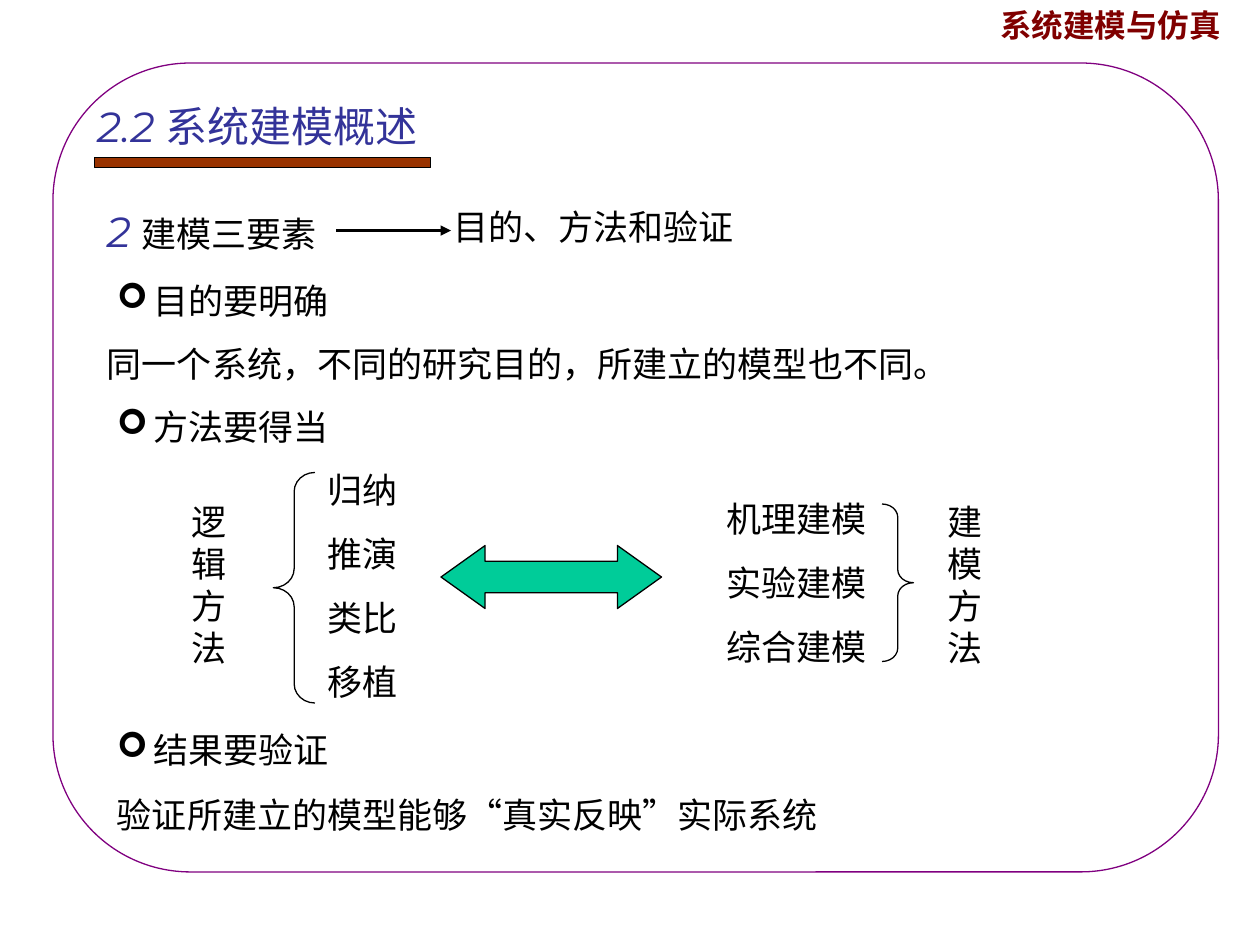
from lxml import etree
from pptx import Presentation
from pptx.dml.color import RGBColor
from pptx.enum.shapes import MSO_CONNECTOR, MSO_SHAPE
from pptx.enum.text import MSO_ANCHOR, MSO_AUTO_SIZE, PP_ALIGN
from pptx.oxml.ns import qn
from pptx.util import Inches, Pt

COLORS = {"frame": "800080", "header": "800000", "heading": "333399",
          "bar": "993300", "arrow": "00CC99", "ink": "000000"}
BODY = {"size": 20, "name": "Times New Roman", "color": "ink"}
NUMBER = {"size": 24, "name": "Montserrat", "color": "heading", "italic": True}
HEADING = {**NUMBER, "italic": False}
HEADER = {"size": 18, "name": "Times New Roman", "color": "header", "bold": True}

TITLE = [("2.2 ", NUMBER), ("系统建模概述", HEADING)]
TITLE_PLACE = (0.67, 0.75, 3.5, 0.5)
SUBTITLE = [("2 ", NUMBER), ("建模三要素", BODY)]
SUBTITLE_PLACE = (0.75, 1.58, 3.42, 0.5)
COURSE = [("系统建模与仿真", HEADER)]
COURSE_PLACE = (7.84, 0, 1.95, 0.4)

# place, lines of text
TEXTS = [
    ((3.5, 1.58, 4.17, 0.44), ["目的、方法和验证"]),
    ((0.75, 2.67, 8.58, 0.44), ["同一个系统，不同的研究目的，所建立的模型也不同。"]),
    ((1.42, 3.92, 0.75, 1.44), ["逻辑方法"]),
    ((2.5, 3.67, 1.42, 1.96), ["归纳", "推演", "类比", "移植"]),
    ((5.67, 3.9, 1.42, 1.45), ["机理建模", "实验建模", "综合建模"]),
    ((7.42, 3.92, 0.75, 1.44), ["建模方法"]),
    ((0.83, 6.25, 6.67, 0.44), ["验证所建立的模型能够“真实反映”实际系统"]),
]
BULLETS = [(2.17, "目的要明确"), (3.17, "方法要得当"), (5.73, "结果要验证")]

# preset, place, adjustments, fill, line
FRAME = (MSO_SHAPE.ROUNDED_RECTANGLE, (0.42, 0.5, 9.25, 6.42), [0.17], None, "frame")
SHAPES = [
    FRAME,
    (MSO_SHAPE.RECTANGLE, (0.75, 1.25, 2.67, 0.08), [], "bar", "ink"),
    (MSO_SHAPE.LEFT_BRACE, (2.17, 3.75, 0.33, 1.83), [0.46, 0.5], None, "ink"),
    (MSO_SHAPE.LEFT_RIGHT_ARROW, (3.5, 4.33, 1.75, 0.5), [0.5, 0.7], "arrow", "ink"),
    (MSO_SHAPE.RIGHT_BRACE, (7, 4, 0.25, 1.25), [0.42, 0.5], None, "ink"),
]
POINTER = (2.67, 1.83, 3.58, 1.83)


def inches(values):
    return [Inches(value) for value in values]


def rgb(name):
    return RGBColor.from_string(COLORS[name])


def add_spans(para, spans):
    for text, style in spans:
        span = para.add_run()
        span.text = text
        for key, value in style.items():
            if key == "color":
                span.font.color.rgb = rgb(value)
            else:
                setattr(span.font, key, Pt(value) if key == "size" else value)


def fill_frame(frame, paragraphs, wrap=True):
    """Write one list of (text, style) spans per paragraph."""
    settings = {"word_wrap": wrap, "auto_size": MSO_AUTO_SIZE.NONE,
                "vertical_anchor": MSO_ANCHOR.TOP}
    for key, value in settings.items():
        setattr(frame, key, value)
    for index, spans in enumerate(paragraphs):
        para = frame.add_paragraph() if index else frame.paragraphs[0]
        para.alignment = PP_ALIGN.LEFT
        para.space_before = Pt(12.5 if index else 0)
        add_spans(para, spans)


def add_text(slide, place, paragraphs, wrap=True):
    box = slide.shapes.add_textbox(*inches(place))
    fill_frame(box.text_frame, paragraphs, wrap)
    return box


def add_bullet(slide, top, text):
    box = add_text(slide, (0.83, top, 7.33, 0.44), [[(text, BODY)]])
    props = box.text_frame.paragraphs[0]._p.get_or_add_pPr()
    indent = Inches(0.29)
    props.set("marL", str(indent))
    props.set("indent", str(-indent))
    color = etree.SubElement(props, qn("a:buClr"))
    etree.SubElement(color, qn("a:srgbClr"), val=COLORS["ink"])
    etree.SubElement(props, qn("a:buFont"), typeface="Wingdings")
    etree.SubElement(props, qn("a:buChar"), char="➢")


def add_shape(slide, preset, place, adjustments, fill, line):
    shape = slide.shapes.add_shape(preset, *inches(place))
    shape.shadow.inherit = False
    for index, value in enumerate(adjustments):
        shape.adjustments[index] = value
    if fill:
        shape.fill.solid()
        shape.fill.fore_color.rgb = rgb(fill)
    else:
        shape.fill.background()
    shape.line.color.rgb = rgb(line)
    shape.line.width = Pt(0.75)


def add_pointer(slide, ends):
    pointer = slide.shapes.add_connector(MSO_CONNECTOR.STRAIGHT, *inches(ends))
    pointer.line.color.rgb = rgb("ink")
    pointer.line.width = Pt(1.5)
    etree.SubElement(pointer.line._get_or_add_ln(), qn("a:tailEnd"), type="triangle")
    etree.SubElement(pointer._element.spPr, qn("a:effectLst"))


def main():
    deck = Presentation()
    deck.slide_width, deck.slide_height = inches((10, 7.5))
    slide = deck.slides.add_slide(deck.slide_layouts[5])

    title = slide.shapes.title
    title.left, title.top, title.width, title.height = inches(TITLE_PLACE)
    fill_frame(title.text_frame, [TITLE])

    for shape in SHAPES:
        add_shape(slide, *shape)
    add_text(slide, COURSE_PLACE, [COURSE], wrap=False)
    add_text(slide, SUBTITLE_PLACE, [SUBTITLE])
    for place, lines in TEXTS:
        add_text(slide, place, [[(line, BODY)] for line in lines])
    for top, text in BULLETS:
        add_bullet(slide, top, text)
    add_pointer(slide, POINTER)
    deck.save("out.pptx")


if __name__ == "__main__":
    main()
